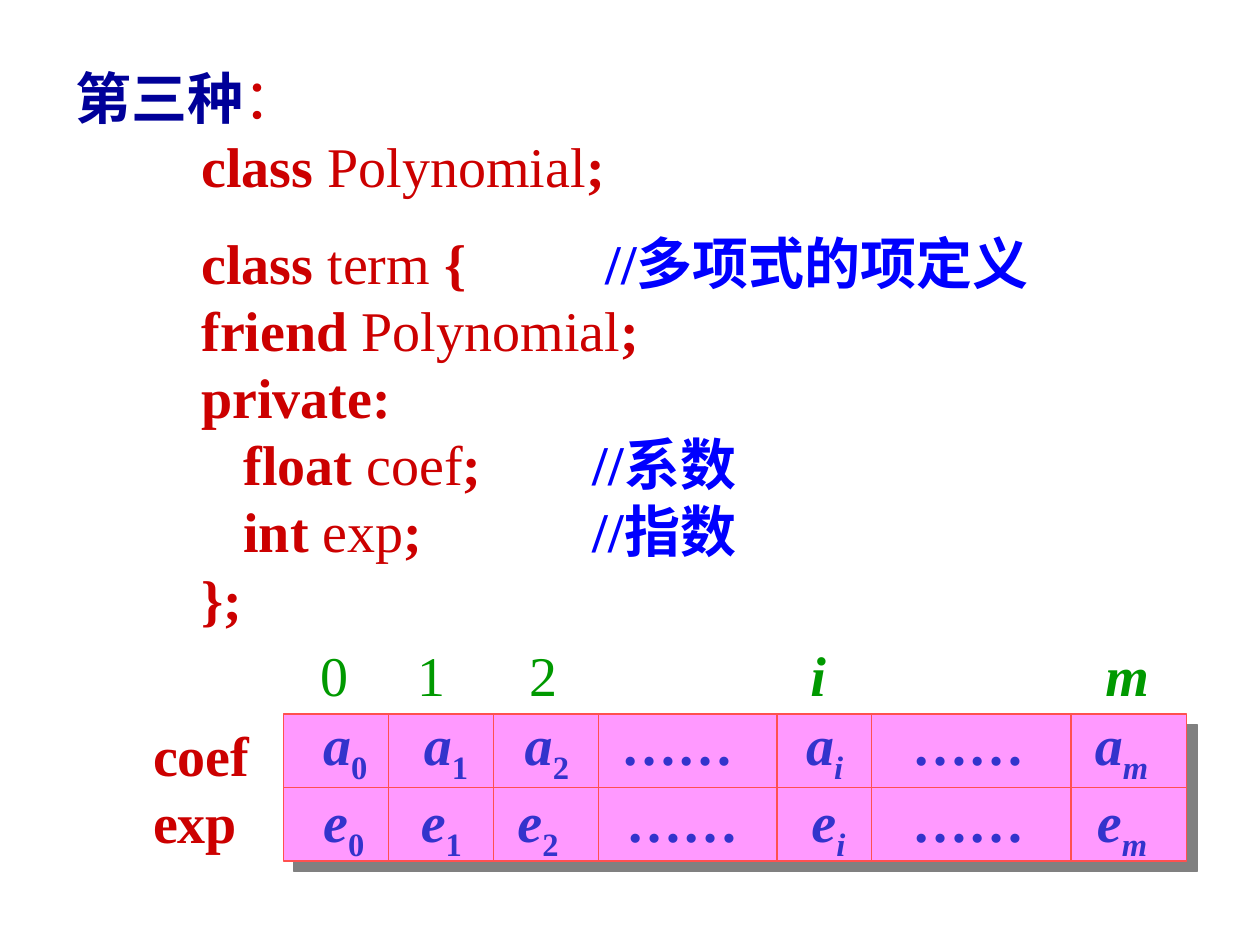
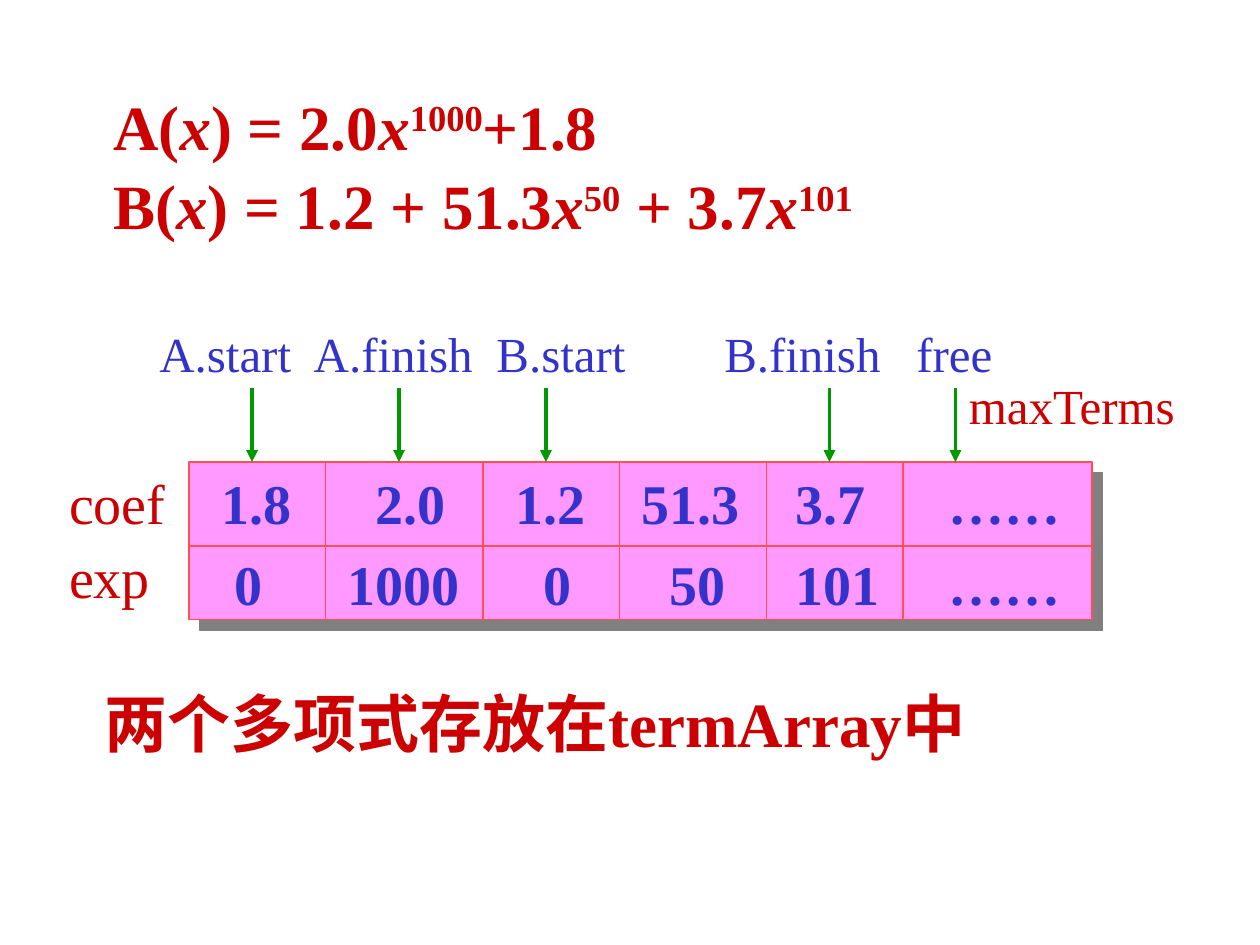
from dataclasses import dataclass

from lxml import etree
from pptx import Presentation
from pptx.dml.color import RGBColor
from pptx.enum.shapes import MSO_CONNECTOR, MSO_SHAPE
from pptx.oxml import parse_xml
from pptx.oxml.ns import nsdecls, qn
from pptx.util import Pt

SCALE = 7620  # EMU in one px, 120 px to the inch
RECTANGLE = MSO_SHAPE.RECTANGLE
STRAIGHT = MSO_CONNECTOR.STRAIGHT
LEFT_SIDE, RIGHT_SIDE = 1, 3
DOTS = "……"


@dataclass(frozen=True)
class Theme:
    font: str = "Times New Roman"
    navy: str = "000099"
    red: str = "CC0000"
    blue: str = "0000FF"
    indigo: str = "3333CC"
    green: str = "009900"
    pink: str = "FF99FF"
    coral: str = "FF5050"
    shadow: str = "808080"
    headline: int = 36
    body: int = 32
    label: int = 28
    grid_line: float = 0.75
    arrow_line: float = 2.25


def px(length):
    return round(length * SCALE)


class SlideMaker:
    def __init__(self, theme):
        self.theme = theme
        self.deck = Presentation()
        self.deck.slide_width, self.deck.slide_height = px(1200), px(900)
        self.page = None

    def new_page(self):
        self.page = self.deck.slides.add_slide(self.deck.slide_layouts[6])

    def text(self, left, top, width, height, lines, color, size=None, tabs=(),
             space_before=0, line_spacing=None):
        """Write lines of spans; tabs holds one list of stops for each line, or one for all."""
        box = self.page.shapes.add_textbox(px(left), px(top), px(width), px(height))
        frame = box.text_frame
        frame.word_wrap = True
        for index, spans in enumerate(lines):
            para = frame.paragraphs[0] if index == 0 else frame.add_paragraph()
            para.space_before = Pt(space_before)
            para.line_spacing = line_spacing
            if tabs:
                self.tab_stops(para, tabs[index % len(tabs)])
            for span in spans:
                self.span(para, color, size or self.theme.body, *span)
        return frame

    def span(self, para, color, size, text, marks="", own_color=None):
        """Add a run; marks are b bold, i italic, _ subscript, ^ superscript."""
        run = para.add_run()
        run.text = text
        font = run.font
        font.name, font.size = self.theme.font, Pt(size)
        font.bold, font.italic = "b" in marks, "i" in marks
        font.color.rgb = RGBColor.from_string(own_color or color)
        for mark, baseline in (("_", "-25000"), ("^", "30000")):
            if mark in marks:
                font._element.set("baseline", baseline)

    def tab_stops(self, para, stops):
        tab_list = etree.SubElement(para._p.get_or_add_pPr(), qn("a:tabLst"))
        for stop in stops:
            etree.SubElement(tab_list, qn("a:tab"), pos=str(px(stop)), algn="l")

    def line(self, start, end, color, width, arrow=False):
        connector = self.page.shapes.add_connector(
            STRAIGHT, *(px(value) for value in (*start, *end)))
        connector.line.color.rgb = RGBColor.from_string(color)
        connector.line.width = Pt(width)
        if arrow:
            etree.SubElement(connector.line._get_or_add_ln(), qn("a:tailEnd"), type="triangle")
        etree.SubElement(connector._element.spPr, qn("a:effectLst"))
        return connector

    def panel(self, left, top, width, height):
        """Draw the pink rectangle with its hard shadow."""
        theme = self.theme
        panel = self.page.shapes.add_shape(RECTANGLE, px(left), px(top), px(width), px(height))
        panel.fill.solid()
        panel.fill.fore_color.rgb = RGBColor.from_string(theme.pink)
        panel.line.color.rgb = RGBColor.from_string(theme.coral)
        panel.line.width = Pt(theme.grid_line)
        panel._element.spPr.append(parse_xml(
            f'<a:effectLst {nsdecls("a")}><a:outerShdw dist="107763" dir="2700000" '
            f'algn="ctr" rotWithShape="0"><a:srgbClr val="{theme.shadow}"/>'
            '</a:outerShdw></a:effectLst>'))
        return panel

    def grid(self, left, top, width, height, columns, row):
        """Draw the two-row array; columns are the x of its dividers, row the y."""
        theme = self.theme
        panel = self.panel(left, top, width, height)
        for column in columns:
            self.line((column, top), (column, top + height), theme.coral, theme.grid_line)
        divider = self.line((left, row), (left + width, row), theme.coral, theme.grid_line)
        if row == top + height / 2:
            divider.begin_connect(panel, LEFT_SIDE)
            divider.end_connect(panel, RIGHT_SIDE)


def indexed_row(letter):
    """Spans for a letter with each index in turn, tabs between the cells."""
    spans = []
    for index in ("0", "1", "2", DOTS, "i", DOTS, "m"):
        tab = "\t" if spans else ""
        if index == DOTS:
            spans.append((tab + DOTS, "b"))
        else:
            spans.append((tab + letter, "bi"))
            spans.append((index, "b_" if index.isdigit() else "bi_"))
    return spans


def term_class_page(maker):
    theme = maker.theme
    maker.new_page()
    code = [
        [("第三种", "b", theme.navy), ("：",)],
        [("\tclass ", "b"), ("Polynomial",), (";", "b")],
        [("\tclass ", "b"), ("term ",), ("{", "b"), ("\t//多项式的项定义", "b", theme.blue)],
        [("\tfriend ", "b"), ("Polynomial",), (";", "b")],
        [("\tprivate:", "b")],
        [("\tfloat ", "b"), ("coef",), (";", "b"), ("\t//系数", "b", theme.blue)],
        [("\tint", "b"), (" exp",), (";", "b"), ("\t//指数", "b", theme.blue)],
        [("\t};", "b")],
    ]
    outer, member = (120, 505), (160, 493)
    frame = maker.text(60, 55, 1140, 552, code, theme.red,
                       tabs=[outer] * 5 + [member] * 2 + [outer])
    frame.paragraphs[2].space_before = Pt(17)

    maker.grid(270, 680, 860, 140, (370, 470, 570, 740, 830, 1020), 750)
    maker.text(296, 670, 840, 158, [indexed_row("a"), indexed_row("e")], theme.indigo,
               tabs=[(96, 192, 284, 460, 561, 735), (93, 185, 289, 465, 561, 737)])
    maker.text(134, 680, 130, 140, [[("coef", "b")], [("exp", "b")]], theme.red)
    maker.text(293, 604, 840, 77, [[("0\t1\t2",), ("\ti\tm", "bi")]], theme.green,
               tabs=[(93, 200, 467, 748)])


def term_array_page(maker):
    theme = maker.theme
    maker.new_page()
    polynomials = [
        [("A(", "b"), ("x", "bi"), (") = 2.0", "b"), ("x", "bi"), ("1000", "b^"),
         ("+1.8", "b")],
        [("B(", "b"), ("x", "bi"), (") = 1.2 + 51.3", "b"), ("x", "bi"), ("50", "b^"),
         (" + 3.7", "b"), ("x", "bi"), ("101", "b^")],
    ]
    maker.text(96, 74, 820, 166, polynomials, theme.red, theme.headline, line_spacing=1.05)
    maker.text(88, 646, 900, 84, [[("两个多项式存放在termArray中", "b")]], theme.red,
               theme.headline)
    maker.text(140, 302, 840, 68, [[("A.start\tA.finish\tB.start\tB.finish\tfree",)]],
               theme.indigo, theme.label, tabs=[(147, 321, 538, 721)])

    top = 440
    maker.grid(180, top, 860, 150, (310, 460, 590, 730, 860), 520)
    maker.text(54, top, 125, 148, [[("coef",)], [("exp",)]], theme.red, space_before=4)
    coefficients = "\t".join(("1.8", "2.0", "1.2", "51.3", "3.7", DOTS))
    exponents = "\t".join(("", "0", "1000", "0", "50", "101", DOTS))
    maker.text(199, top, 840, 154, [[(coefficients, "b")], [(exponents, "b")]], theme.indigo,
               tabs=[(147, 280, 400, 547, 693), (13, 120, 307, 427, 547, 693)],
               space_before=8)
    for pointer in (240, 380, 520, 790, 910):
        maker.line((pointer, 370), (pointer, top), theme.green, theme.arrow_line, arrow=True)
    maker.text(911, 352, 240, 68, [[("maxTerms",)]], theme.red, theme.label)


def main():
    maker = SlideMaker(Theme())
    term_class_page(maker)
    term_array_page(maker)
    maker.deck.save("out.pptx")


if __name__ == "__main__":
    main()
